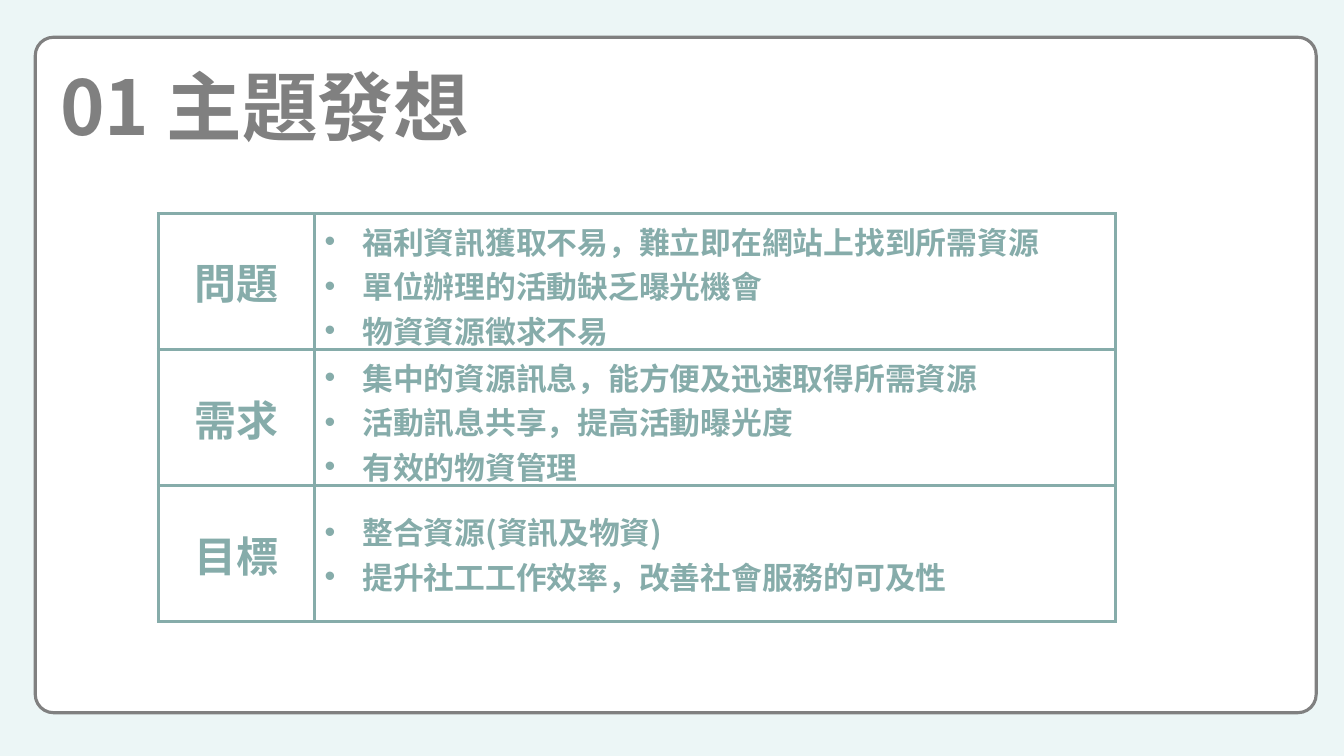
from dataclasses import dataclass

from lxml.etree import SubElement
from pptx import Presentation
from pptx.dml.color import RGBColor
from pptx.enum.shapes import MSO_SHAPE
from pptx.enum.text import MSO_ANCHOR, PP_ALIGN
from pptx.oxml import parse_xml
from pptx.oxml.ns import nsdecls, qn
from pptx.util import Cm, Pt


@dataclass(frozen=True)
class Theme:
    font: str = "Noto Sans CJK SC"
    background: str = "ECF6F6"
    panel: str = "FFFFFF"
    grey: str = "808080"
    teal: str = "86ACAA"
    title_size: int = 54
    label_size: int = 30
    body_size: int = 22
    line_width: float = 2.25


THEME = Theme()
TOPICS = [
    ("問題", ["福利資訊獲取不易，難立即在網站上找到所需資源",
            "單位辦理的活動缺乏曝光機會",
            "物資資源徵求不易"]),
    ("需求", ["集中的資源訊息，能方便及迅速取得所需資源",
            "活動訊息共享，提高活動曝光度",
            "有效的物資管理"]),
    ("目標", ["整合資源(資訊及物資)",
            "提升社工工作效率，改善社會服務的可及性"]),
]


def rgb(color):
    return RGBColor.from_string(color)


def add_run(p, text, size, color):
    r = p.add_run()
    r.text = text
    r.font.name = THEME.font
    r.font.size = Pt(size)
    r.font.bold = True
    r.font.color.rgb = rgb(color)
    SubElement(r.font._element, qn("a:ea"), typeface=THEME.font)


def add_bullet(p):
    pPr = p._p.get_or_add_pPr()
    indent = Cm(0.95)
    pPr.set("marL", str(indent))
    pPr.set("indent", str(-indent))
    SubElement(pPr, qn("a:buFont"), typeface="Arial")
    SubElement(pPr, qn("a:buChar"), char="•")


def add_panel(s):
    sp = s.shapes.add_shape(MSO_SHAPE.ROUNDED_RECTANGLE,
                            Cm(0.89), Cm(0.94), Cm(32.28), Cm(17.02))
    sp.adjustments[0] = 0.027
    sp.shadow.inherit = False
    sp.fill.solid()
    sp.fill.fore_color.rgb = rgb(THEME.panel)
    sp.line.color.rgb = rgb(THEME.grey)
    sp.line.width = Pt(THEME.line_width)


def add_title(s, text):
    sp = s.shapes.add_textbox(Cm(1.27), Cm(1.3), Cm(11.53), Cm(3))
    tf = sp.text_frame
    tf.word_wrap = True
    tf.vertical_anchor = MSO_ANCHOR.MIDDLE
    p = tf.paragraphs[0]
    p.line_spacing = 0.9
    add_run(p, text, THEME.title_size, THEME.grey)


def style_cell(cell):
    cell.vertical_anchor = MSO_ANCHOR.MIDDLE
    cell.fill.background()
    tcPr = cell._tc.get_or_add_tcPr()
    for i, side in enumerate("LRTB"):
        tcPr.insert(i, parse_xml(
            f'<a:ln{side} {nsdecls("a")} w="{Pt(THEME.line_width)}">'
            f'<a:solidFill><a:srgbClr val="{THEME.teal}"/></a:solidFill>'
            f'</a:ln{side}>'))


def fill_label(cell, text):
    style_cell(cell)
    p = cell.text_frame.paragraphs[0]
    p.alignment = PP_ALIGN.CENTER
    add_run(p, text, THEME.label_size, THEME.teal)


def fill_points(cell, points):
    style_cell(cell)
    tf = cell.text_frame
    for i, point in enumerate(points):
        p = tf.add_paragraph() if i else tf.paragraphs[0]
        add_bullet(p)
        add_run(p, point, THEME.body_size, THEME.teal)


def add_topic_table(s, topics):
    widths = [Cm(3.94), Cm(20.19)]
    row_height = Cm(3.43)
    table = s.shapes.add_table(len(topics), len(widths), Cm(3.99), Cm(5.38),
                               sum(widths), row_height * len(topics)).table
    table.first_row = False
    table.horz_banding = False
    for column, width in zip(table.columns, widths):
        column.width = width
    for row, (label, points) in zip(table.rows, topics):
        row.height = row_height
        fill_label(row.cells[0], label)
        fill_points(row.cells[1], points)


def main():
    prs = Presentation()
    prs.slide_width, prs.slide_height = Cm(33.87), Cm(19.05)
    s = prs.slides.add_slide(prs.slide_layouts[6])
    s.background.fill.solid()
    s.background.fill.fore_color.rgb = rgb(THEME.background)
    add_panel(s)
    add_title(s, "01 主題發想")
    add_topic_table(s, TOPICS)
    prs.save("out.pptx")


if __name__ == "__main__":
    main()
